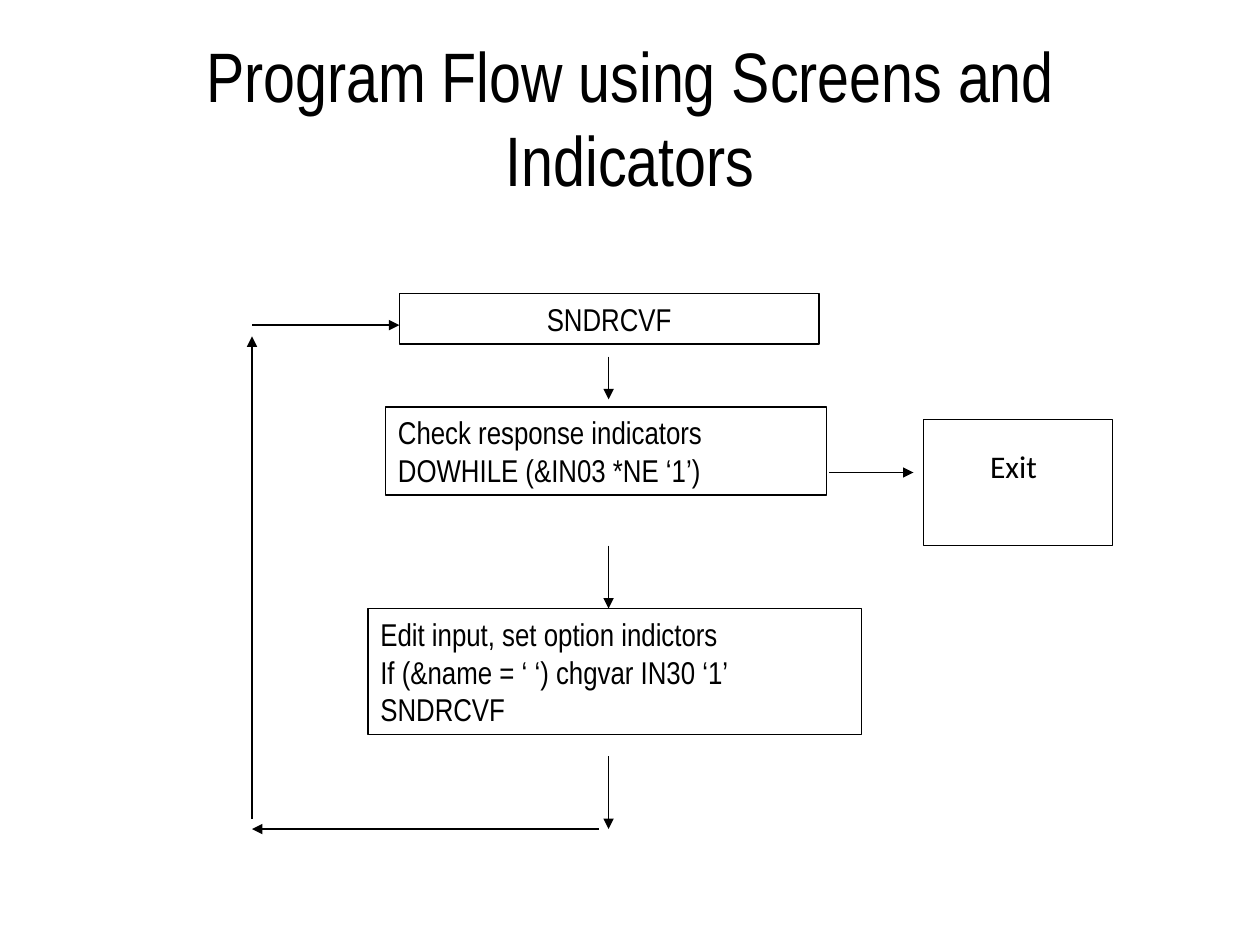
import pptx
import pptx.util
import pptx.dml.color
import pptx.enum.shapes
import pptx.enum.text
import pptx.oxml
import pptx.oxml.ns

PX = 9144  # EMU per px, 100 px to the inch
ALIGN = pptx.enum.text.PP_ALIGN
ANCHOR = pptx.enum.text.MSO_ANCHOR
FIT = pptx.enum.text.MSO_AUTO_SIZE


def px(*lengths):
    return [pptx.util.Emu(length * PX) for length in lengths]


def color(hex_string):
    return pptx.dml.color.RGBColor.from_string(hex_string)


class FlowPage:
    font = "Arial Narrow"
    ink = "000000"
    size = 18
    line_width = 0.75

    def __init__(self, page):
        self.page = page

    def set_text(self, shape, lines, align=ALIGN.LEFT, anchor=ANCHOR.TOP,
                 size=None, font=None, wrap=True, fit=FIT.SHAPE_TO_FIT_TEXT):
        frame = shape.text_frame
        frame.word_wrap = wrap
        frame.auto_size = fit
        frame.vertical_anchor = anchor
        frame.text = "\n".join(lines)
        for para in frame.paragraphs:
            para.alignment = align
            para.font.size = pptx.util.Pt(size or self.size)
            para.font.name = font or self.font
            para.font.color.rgb = color(self.ink)

    def text(self, bounds, lines, **style):
        box = self.page.shapes.add_textbox(*px(*bounds))
        self.set_text(box, lines, **style)

    def box(self, bounds, lines=(), **style):
        shape = self.page.shapes.add_shape(
            pptx.enum.shapes.MSO_SHAPE.RECTANGLE, *px(*bounds))
        shape.shadow.inherit = False
        shape.fill.background()
        shape.line.color.rgb = color(self.ink)
        shape.line.width = pptx.util.Pt(self.line_width)
        if lines:
            self.set_text(shape, lines, **style)

    def arrow(self, start, end):
        arrow = self.page.shapes.add_connector(
            pptx.enum.shapes.MSO_CONNECTOR.STRAIGHT, *px(*start, *end))
        arrow.line.color.rgb = color(self.ink)
        arrow.line.width = pptx.util.Pt(self.line_width)
        namespace = pptx.oxml.ns.nsdecls("a")
        properties = arrow._element.spPr
        properties.find(pptx.oxml.ns.qn("a:ln")).append(pptx.oxml.parse_xml(
            f'<a:tailEnd {namespace} type="triangle"/>'))
        properties.append(pptx.oxml.parse_xml(f"<a:effectLst {namespace}/>"))


def main():
    deck = pptx.Presentation()
    deck.slide_width, deck.slide_height = px(1000, 750)
    flow = FlowPage(deck.slides.add_slide(deck.slide_layouts[6]))

    # Title
    flow.text((50, 30, 900, 125), ["Program Flow using Screens and Indicators"],
              align=ALIGN.CENTER, anchor=ANCHOR.MIDDLE, size=40, fit=FIT.NONE)

    # Steps of the loop
    flow.box((317, 233, 333, 40), ["SNDRCVF"], align=ALIGN.CENTER)
    flow.box((306, 323, 350, 70),
             ["Check response indicators DOWHILE (&IN03 *NE ‘1’)"])
    flow.box((292, 483, 392, 100),
             ["Edit input, set option indictors",
              "If (&name = ‘ ‘) chgvar IN30 ‘1’",
              "SNDRCVF"])

    # Arrows down the middle
    middle, left = 483, 200
    for top, bottom in ((283, 317), (433, 483), (600, 658)):
        flow.arrow((middle, top), (middle, bottom))

    # Way back to the first step
    flow.arrow((475, 658), (left, 658))
    flow.arrow((left, 650), (left, 267))
    flow.arrow((left, 258), (317, 258))

    # Exit
    flow.arrow((658, 375), (725, 375))
    flow.box((733, 333, 150, 100))
    flow.text((776, 350, 57, 40), ["Exit"], font="Calibri", wrap=False)

    deck.save("out.pptx")


if __name__ == "__main__":
    main()
